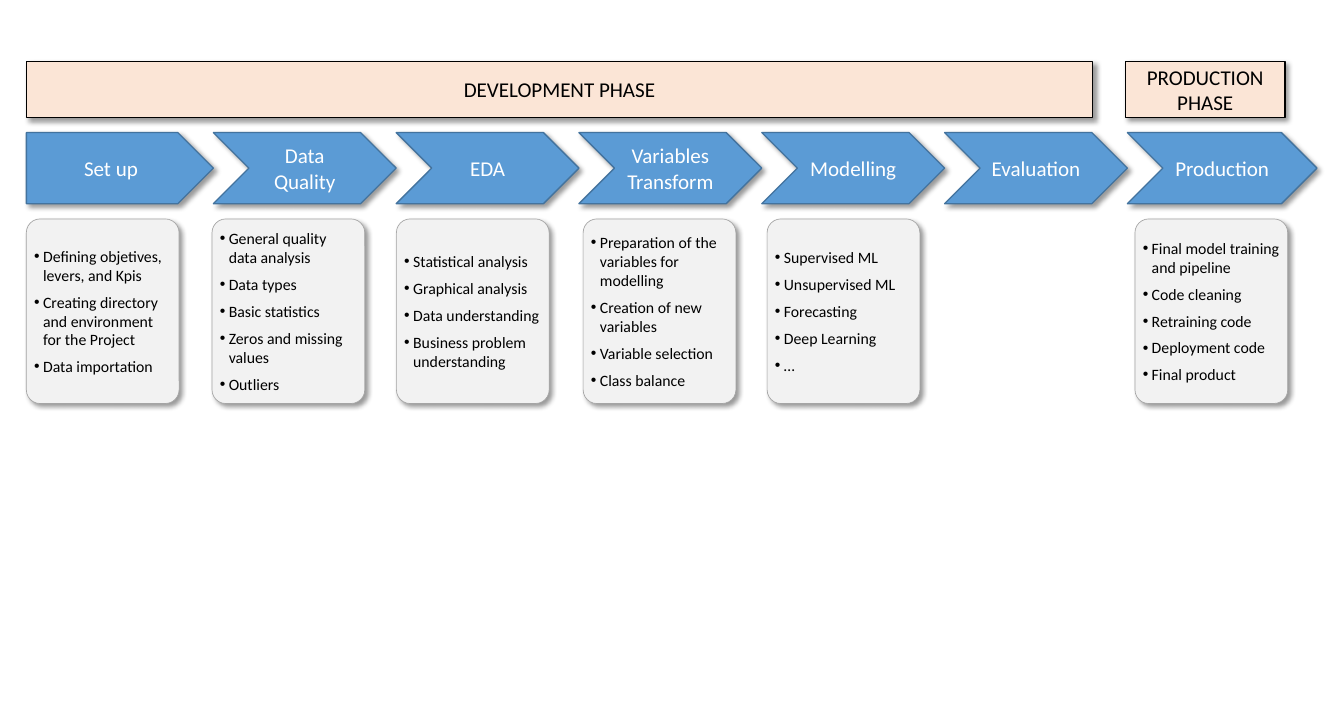
from lxml import etree
from pptx import Presentation
from pptx.dml.color import RGBColor
from pptx.enum.shapes import MSO_SHAPE
from pptx.enum.text import MSO_ANCHOR, PP_ALIGN
from pptx.oxml import parse_xml
from pptx.oxml.ns import qn
from pptx.util import Pt

RECT = MSO_SHAPE.RECTANGLE
ROUND_RECT = MSO_SHAPE.ROUNDED_RECTANGLE
PENTAGON = MSO_SHAPE.PENTAGON
CHEVRON = MSO_SHAPE.CHEVRON
MIDDLE = MSO_ANCHOR.MIDDLE
CENTER, LEFT = PP_ALIGN.CENTER, PP_ALIGN.LEFT

WHITE = RGBColor(0xFF, 0xFF, 0xFF)
BLACK = RGBColor(0x00, 0x00, 0x00)
BLUE = RGBColor(0x5B, 0x9B, 0xD5)
DARK_BLUE = RGBColor(0x43, 0x73, 0x9E)
PEACH = RGBColor(0xFB, 0xE5, 0xD6)
LIGHT_GREY = RGBColor(0xF2, 0xF2, 0xF2)
GREY = RGBColor(0xA5, 0xA5, 0xA5)

FONT = "Calibri"
SHADOW = (
    '<a:outerShdw xmlns:a="http://schemas.openxmlformats.org/drawingml/2006/main" '
    f'blurRad="{Pt(4)}" dist="{Pt(3)}" dir="2700000" algn="tl" rotWithShape="0">'
    '<a:srgbClr val="000000"><a:alpha val="40000"/></a:srgbClr></a:outerShdw>'
)

# Left edge and width in points
PHASES = [("DEVELOPMENT PHASE", 20, 809.6), ("PRODUCTION PHASE", 854.6, 121)]
STEPS = ["Set up", "Data Quality", "EDA", "Variables Transform",
         "Modelling", "Evaluation", "Production"]
CARDS = [
    (20, ["Defining objetives, levers, and Kpis",
          "Creating directory and environment for the Project",
          "Data importation"]),
    (161, ["General quality data analysis", "Data types", "Basic statistics",
           "Zeros and missing values", "Outliers"]),
    (301, ["Statistical analysis", "Graphical analysis", "Data understanding",
           "Business problem understanding"]),
    (442.8, ["Preparation of the variables for modelling",
             "Creation of new variables", "Variable selection",
             "Class balance"]),
    (582.5, ["Supervised ML", "Unsupervised ML", "Forecasting",
             "Deep Learning", "…"]),
    (861.8, ["Final model training and pipeline", "Code cleaning",
             "Retraining code", "Deployment code", "Final product"]),
]


def add_box(slide, kind, box, fill, line, line_width):
    """Add a filled, outlined shape with a soft shadow; box is in points."""
    s = slide.shapes.add_shape(kind, *(Pt(v) for v in box))
    s.fill.solid()
    s.fill.fore_color.rgb = fill
    s.line.color.rgb = line
    s.line.width = Pt(line_width)
    s.shadow.inherit = False
    s._element.spPr.find(qn("a:effectLst")).append(parse_xml(SHADOW))
    s.text_frame.word_wrap = True
    s.text_frame.vertical_anchor = MIDDLE
    return s


def set_text(tf, text, size, color, align):
    tf.text = text
    for p in tf.paragraphs:
        p.alignment = align
        for r in p.runs:
            r.font.name = FONT
            r.font.size = Pt(size)
            r.font.color.rgb = color


def add_bullet(p):
    pPr = p._p.get_or_add_pPr()
    pPr.set("marL", str(Pt(6.8)))
    pPr.set("indent", str(Pt(-6.8)))
    etree.SubElement(pPr, qn("a:buFont")).set("typeface", "Arial")
    etree.SubElement(pPr, qn("a:buChar")).set("char", "•")
    tabs = etree.SubElement(pPr, qn("a:tabLst"))
    tab = etree.SubElement(tabs, qn("a:tab"))
    tab.set("pos", str(Pt(6.5)))
    tab.set("algn", "l")
    p.space_after = Pt(6)


def add_steps(slide, left, top, height):
    """Lay the arrows end to end; the first and last are a little wider."""
    pitch = 138.8
    last = len(STEPS) - 1
    x = left
    for i, step in enumerate(STEPS):
        width = {0: 142, last: 144}.get(i, pitch)
        kind = CHEVRON if i else PENTAGON
        s = add_box(slide, kind, (x, top, width, height), BLUE, DARK_BLUE, 1)
        set_text(s.text_frame, step, 16, WHITE, CENTER)
        x += width


def add_phases(slide, top, height):
    for name, left, width in PHASES:
        s = add_box(slide, RECT, (left, top, width, height), PEACH, BLACK, 1)
        set_text(s.text_frame, name, 16, BLACK, CENTER)


def add_card(slide, box, items):
    s = add_box(slide, ROUND_RECT, box, LIGHT_GREY, GREY, 0.5)
    s.adjustments[0] = 0.09
    tf = s.text_frame
    tf.margin_left = tf.margin_right = tf.margin_top = tf.margin_bottom = Pt(2.9)
    set_text(tf, "\n".join(items), 12, BLACK, LEFT)
    for p in tf.paragraphs:
        add_bullet(p)


def main():
    prs = Presentation()
    prs.slide_width, prs.slide_height = Pt(1020.47), Pt(540)
    slide = prs.slides.add_slide(prs.slide_layouts[6])
    add_steps(slide, 20, 100.7, 54)
    add_phases(slide, 46.6, 42.8)
    for left, items in CARDS:
        add_card(slide, (left, 166.3, 116, 140.2), items)
    prs.save("out.pptx")


if __name__ == "__main__":
    main()
